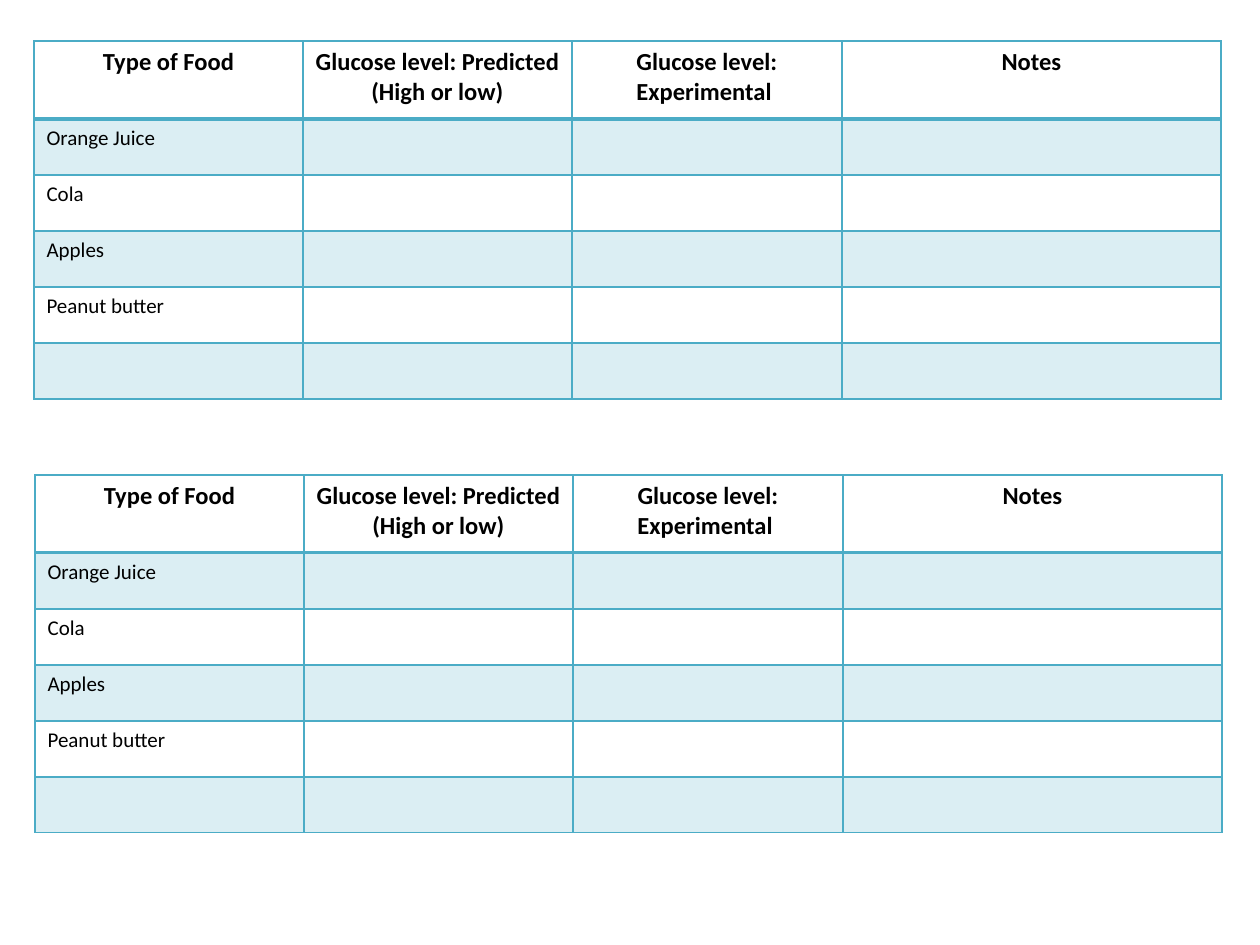
"""Build a slide with two identical glucose level record tables."""
from lxml.etree import SubElement
from pptx import Presentation
from pptx.dml.color import RGBColor
from pptx.enum.text import PP_ALIGN
from pptx.oxml.ns import qn
from pptx.util import Pt

HEADERS = ["Type of Food", "Glucose level: Predicted (High or low)",
           "Glucose level: Experimental ", "Notes"]
FOODS = ["Orange Juice", "Cola", "Apples", "Peanut butter", ""]
COLORS = {"accent": "4BACC6", "text": "000000"}
FONT = "Calibri"
BAND_OPACITY = 20

EMU_PER_PX = 914400 / 126
SLIDE_SIZE = (1260, 945)
TABLE_ORIGINS = [(34, 41), (35, 475)]
COLUMN_WIDTHS = [269, 269, 270, 379]
HEADER_HEIGHT, FOOD_HEIGHT = 78, 56


def px(length):
    """Turn px into EMU."""
    return round(length * EMU_PER_PX)


def add_borders(cell, bottom_width):
    """Draw the four accent borders of a cell."""
    properties = cell._tc.get_or_add_tcPr()
    for side, width in (("L", 1), ("R", 1), ("T", 1), ("B", bottom_width)):
        line = SubElement(properties, qn(f"a:ln{side}"), w=str(Pt(width)))
        fill = SubElement(line, qn("a:solidFill"))
        SubElement(fill, qn("a:srgbClr"), val=COLORS["accent"])


def fill_cell(cell, banded):
    """Give a cell the translucent band colour or no fill."""
    if not banded:
        cell.fill.background()
        return
    cell.fill.solid()
    cell.fill.fore_color.rgb = RGBColor.from_string(COLORS["accent"])
    color = cell._tc.tcPr.find(qn("a:solidFill")).find(qn("a:srgbClr"))
    SubElement(color, qn("a:alpha"), val=str(BAND_OPACITY * 1000))


def write_cell(cell, text, is_header):
    """Write text in the header or the food style."""
    paragraph = cell.text_frame.paragraphs[0]
    paragraph.alignment = PP_ALIGN.CENTER if is_header else PP_ALIGN.LEFT
    run = paragraph.add_run()
    run.text = text
    run.font.name = FONT
    run.font.size = Pt(14 if is_header else 12)
    run.font.bold = is_header
    run.font.color.rgb = RGBColor.from_string(COLORS["text"])


def add_food_table(slide, left, top):
    """Add one record table at the given place."""
    rows = [HEADERS] + [[food] + [""] * (len(HEADERS) - 1) for food in FOODS]
    heights = [HEADER_HEIGHT] + [FOOD_HEIGHT] * len(FOODS)
    table = slide.shapes.add_table(
        len(rows), len(HEADERS), px(left), px(top),
        px(sum(COLUMN_WIDTHS)), px(sum(heights))).table
    table.horz_banding = False
    for column, width in zip(table.columns, COLUMN_WIDTHS):
        column.width = px(width)
    for row_index, (texts, height) in enumerate(zip(rows, heights)):
        table.rows[row_index].height = px(height)
        is_header = row_index == 0
        for column_index, text in enumerate(texts):
            cell = table.cell(row_index, column_index)
            add_borders(cell, 2 if is_header else 1)
            fill_cell(cell, row_index % 2 == 1)
            if text:
                write_cell(cell, text, is_header)
    for cell in table.rows[1].cells:
        top_line = cell._tc.tcPr.find(qn("a:lnT"))
        top_line.set("w", str(Pt(2)))


def main():
    """Build and save the presentation."""
    presentation = Presentation()
    presentation.slide_width, presentation.slide_height = map(px, SLIDE_SIZE)
    slide = presentation.slides.add_slide(presentation.slide_layouts[6])
    for left, top in TABLE_ORIGINS:
        add_food_table(slide, left, top)
    presentation.save("out.pptx")


if __name__ == "__main__":
    main()
